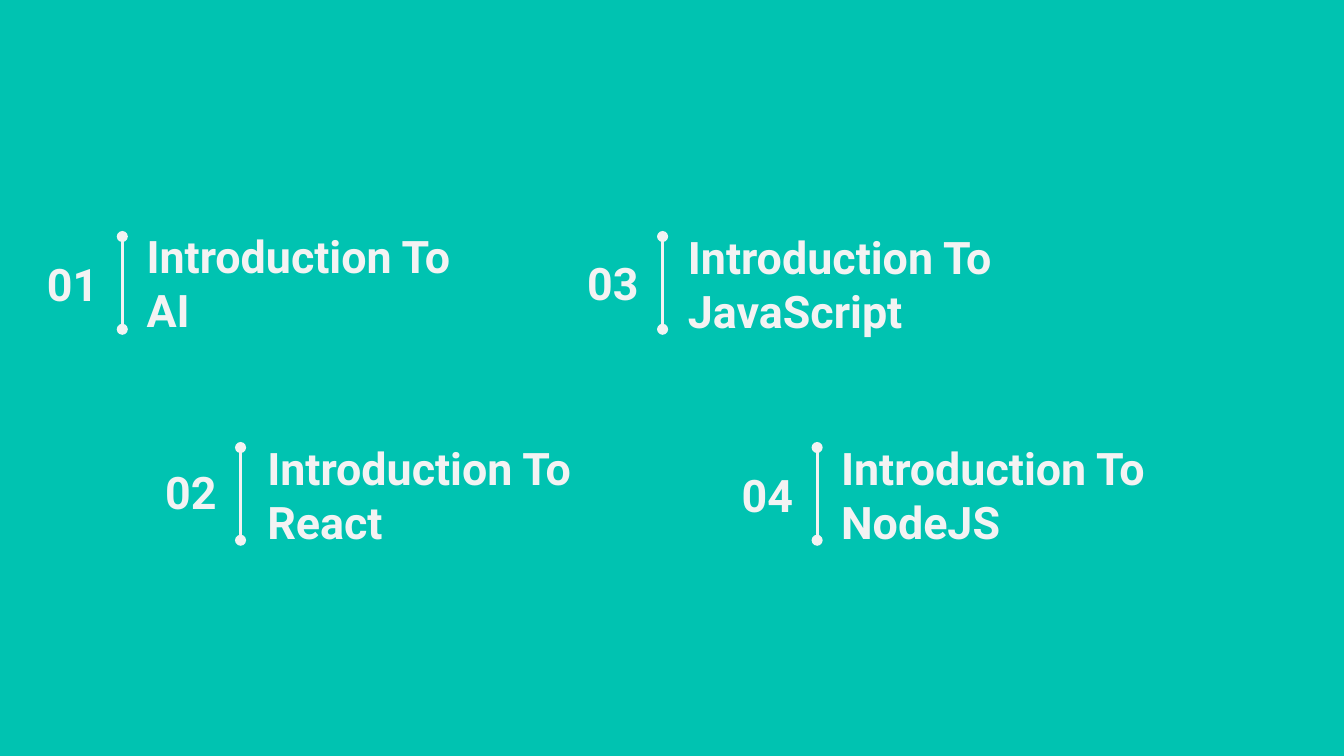
from dataclasses import dataclass

from lxml.etree import SubElement
from pptx import Presentation
from pptx.dml.color import RGBColor
from pptx.enum.shapes import MSO_CONNECTOR
from pptx.enum.text import MSO_ANCHOR, MSO_AUTO_SIZE, PP_ALIGN
from pptx.oxml.ns import qn
from pptx.util import Inches, Pt


@dataclass(frozen=True)
class Theme:
    background: RGBColor = RGBColor(0x00, 0xC3, 0xB1)
    foreground: RGBColor = RGBColor(0xF3, 0xF3, 0xF3)
    font: str = "Roboto"
    size: Pt = Pt(24)
    divider_width: Pt = Pt(1.5)


@dataclass(frozen=True)
class Topic:
    number: str
    heading: str
    divider_left: float
    divider_top: float
    heading_left: float
    heading_top: float
    heading_width: float
    number_top: float


THEME = Theme()
ROW_HEIGHT = 0.46
NUMBER_WIDTH = 0.66
NUMBER_OFFSET = 0.74
DIVIDER_HEIGHT = 0.69
TOPICS = [
    Topic("01", "Introduction To AI", 0.91, 1.76, 0.99, 1.87, 2.77, 1.88),
    Topic("02", "Introduction To React", 1.79, 3.33, 1.89, 3.45, 3.25, 3.43),
    Topic("03", "Introduction To JavaScript", 4.93, 1.76, 5.02, 1.88, 4.05, 1.87),
    Topic("04", "Introduction To NodeJS", 6.08, 3.33, 6.16, 3.45, 3.63, 3.45),
]


def write_text(label, text, *, left, top, width, align=PP_ALIGN.LEFT):
    label.left, label.top = Inches(left), Inches(top)
    label.width, label.height = Inches(width), Inches(ROW_HEIGHT)
    frame = label.text_frame
    frame.auto_size = MSO_AUTO_SIZE.NONE
    frame.word_wrap = True
    frame.vertical_anchor = MSO_ANCHOR.MIDDLE
    frame.margin_left = frame.margin_right = Inches(0.1)
    frame.margin_top = frame.margin_bottom = Inches(0.1)
    frame.text = text
    paragraph = frame.paragraphs[0]
    paragraph.alignment = align
    font = paragraph.runs[0].font
    font.name, font.size, font.bold = THEME.font, THEME.size, True
    font.color.rgb = THEME.foreground


def add_label(slide):
    return slide.shapes.add_textbox(0, 0, Inches(1), Inches(1))


def add_divider(slide, left, top):
    divider = slide.shapes.add_connector(
        MSO_CONNECTOR.STRAIGHT,
        Inches(left), Inches(top), Inches(left), Inches(top + DIVIDER_HEIGHT),
    )
    divider.line.color.rgb = THEME.foreground
    divider.line.width = THEME.divider_width
    properties = divider.line._get_or_add_ln()
    for end in ("a:headEnd", "a:tailEnd"):
        SubElement(properties, qn(end), type="oval", w="med", len="med")
    SubElement(divider._element.spPr, qn("a:effectLst"))


def add_topic(slide, topic, heading):
    write_text(
        heading, topic.heading,
        left=topic.heading_left, top=topic.heading_top, width=topic.heading_width,
    )
    write_text(
        add_label(slide), topic.number,
        left=topic.divider_left - NUMBER_OFFSET, top=topic.number_top,
        width=NUMBER_WIDTH, align=PP_ALIGN.RIGHT,
    )
    add_divider(slide, topic.divider_left, topic.divider_top)


def main():
    presentation = Presentation()
    presentation.slide_width = Inches(10)
    presentation.slide_height = presentation.slide_width * 9 // 16
    slide = presentation.slides.add_slide(presentation.slide_layouts[5])
    slide.background.fill.solid()
    slide.background.fill.fore_color.rgb = THEME.background
    first, *others = TOPICS
    add_topic(slide, first, slide.shapes.title)
    for topic in others:
        add_topic(slide, topic, add_label(slide))
    presentation.save("out.pptx")


if __name__ == "__main__":
    main()
